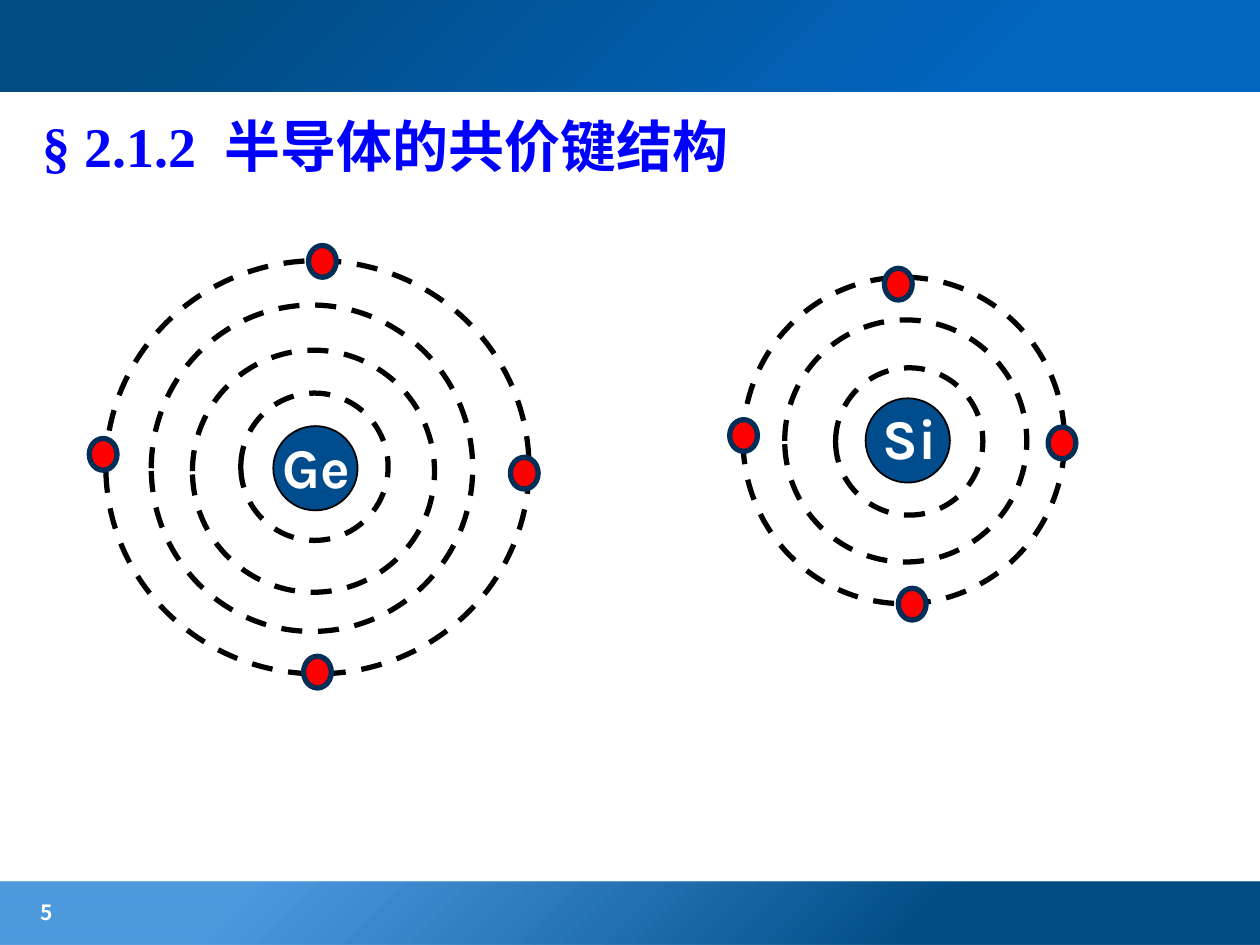
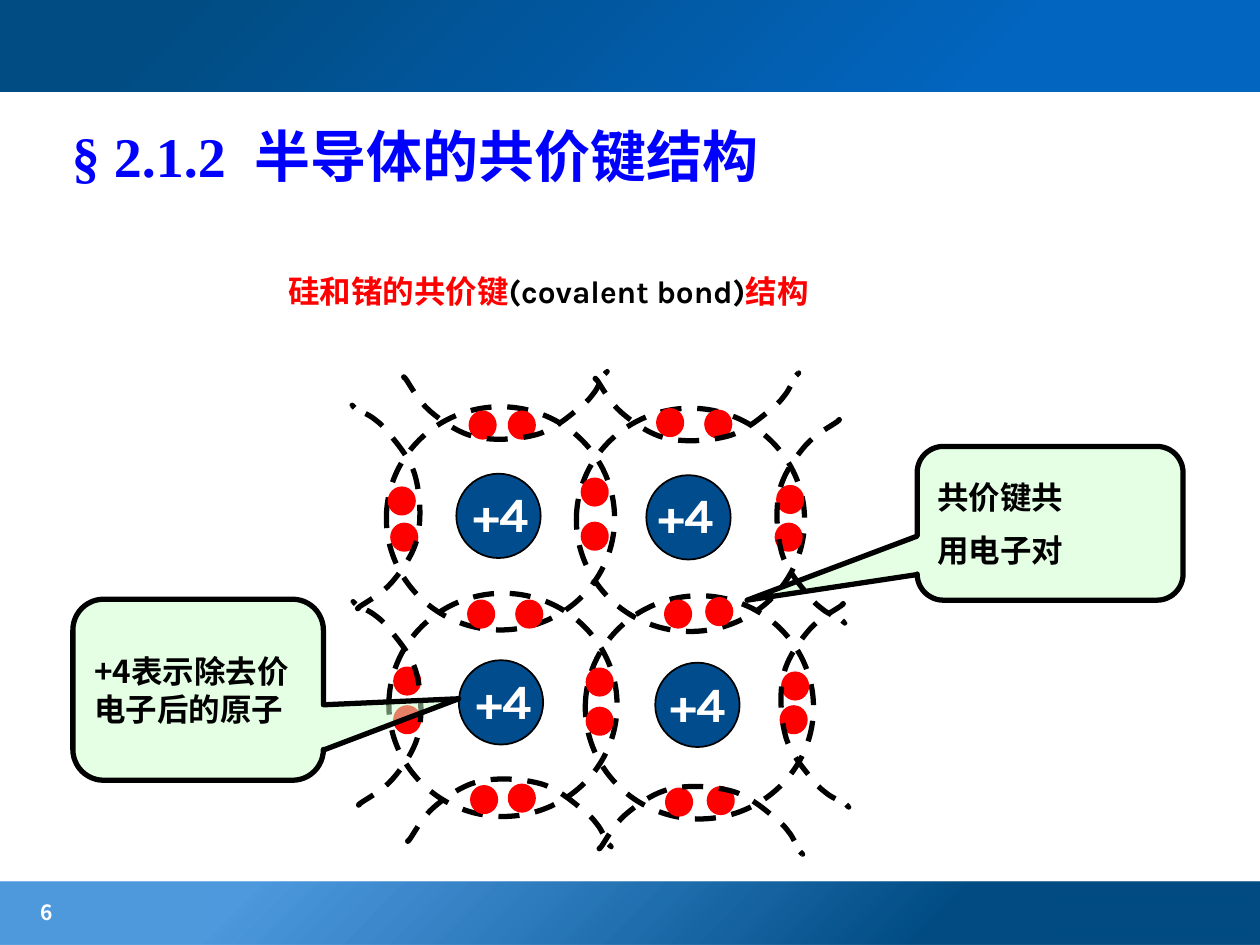
from lxml import etree
from pptx import Presentation
from pptx import util as u
from pptx.dml.color import RGBColor
from pptx.enum import dml, shapes, text
from pptx.oxml import parse_xml
from pptx.oxml.ns import nsdecls, qn

WHITE = RGBColor(0xFF, 0xFF, 0xFF)
BLACK = RGBColor(0x00, 0x00, 0x00)
RED = RGBColor(0xFF, 0x00, 0x00)
TITLE_BLUE = RGBColor(0x00, 0x00, 0xFF)
NUCLEUS_BLUE = RGBColor(0x01, 0x4C, 0x8D)
NAVY = RGBColor(0x01, 0x2E, 0x57)
BAND_DARK = RGBColor(0x01, 0x4C, 0x83)
BAND_MID = RGBColor(0x02, 0x65, 0xBF)
BAND_LIGHT = RGBColor(0x02, 0x6D, 0xCE)
PALE_GREEN = RGBColor(0xCC, 0xFF, 0xCC)

KARLA, NOTO, TIMES = "Karla", "Noto Sans CJK SC", "Times New Roman"
TITLE = "§ 2.1.2  半导体的共价键结构"

SHELL_SIZES = [(2.97, 2.97), (4.88, 4.88), (6.48, 6.58), (8.53, 8.33)]
ATOMS = [
    ("Ge", (6.36, 9.44), (5.44, 8.59, 2.16, 1.6),
     [(6.34, 9.41), (6.32, 9.5), (6.29, 9.44), (6.4, 9.42)],
     [(10.57, 9.54), (2.08, 9.16), (6.5, 5.27), (6.4, 13.55)]),
    ("Si", (18.3, 8.88), (17.55, 8.0, 1.96, 1.6),
     [(18.33, 8.9), (18.26, 8.89), (18.22, 8.88)],
     [(14.99, 8.78), (18.39, 12.18), (21.41, 8.93), (18.11, 5.73)]),
]

IONS = [(10.05, 10.4), (13.88, 10.43), (10.1, 14.16), (14.06, 14.21)]
ION_LABELS = [(9.3, 9.63), (13.03, 9.65), (9.35, 13.39), (13.26, 13.46)]
BOND_PAIRS = [
    [(11.99, 9.92), (11.99, 10.81)], [(14.5, 12.33), (13.67, 12.38)],
    [(12.09, 13.75), (12.09, 14.54)], [(9.7, 12.38), (10.67, 12.38)],
    [(8.21, 13.73), (8.21, 14.51)], [(9.73, 8.57), (10.52, 8.57)],
    [(8.1, 10.1), (8.15, 10.83)], [(14.53, 16.14), (13.69, 16.17)],
    [(15.9, 10.83), (15.93, 10.07)], [(10.52, 16.09), (9.76, 16.12)],
    [(14.48, 8.55), (13.51, 8.52)], [(16.0, 14.51), (16.03, 13.83)],
]

ARC_START = (-1.98, -0.55)
ARC_CURVES = [
    [(-2.01, -0.55), (-2.06, -0.65), (-1.98, -0.55)],
    [(-1.9, -0.44), (-1.73, -0.11), (-1.5, 0.09)],
    [(-1.27, 0.29), (-0.91, 0.55), (-0.56, 0.62)],
    [(-0.2, 0.7), (0.3, 0.67), (0.66, 0.57)],
    [(1.02, 0.47), (1.35, 0.17), (1.55, 0.01)],
    [(1.73, -0.14), (1.75, -0.19), (1.83, -0.29)],
    [(1.9, -0.39), (1.98, -0.57), (2.03, -0.65)],
    [(2.06, -0.7), (2.08, -0.7), (2.08, -0.7)],
    [(2.08, -0.7), (2.03, -0.65), (2.03, -0.65)],
]
NEIGHBOUR_ARCS = [
    (lambda a, b: (-b, a), [(16.33, 10.48), (16.41, 14.19)]),
    (lambda a, b: (a, b), [(10.16, 8.19), (14.02, 8.22)]),
    (lambda a, b: (a, -b), [(10.24, 16.37), (14.1, 16.52)]),
    (lambda a, b: (b, -a), [(7.8, 10.25), (7.82, 14.21)]),
]


class Deck:
    """Holds the presentation style and the slide being drawn."""

    def __init__(self):
        self.presentation = Presentation()
        self.presentation.slide_width = u.Cm(25.4)
        self.presentation.slide_height = u.Cm(19.05)
        self.slide = None

    def new_slide(self, number, title_left, title_top):
        """Start a slide with its bands, number and title."""
        layout = self.presentation.slide_layouts[6]
        self.slide = self.presentation.slides.add_slide(layout)
        self.band(17.78, 1.27, [(26, BAND_DARK, 100), (80, BAND_LIGHT, 70)])
        self.band(-0.08, 1.93, [(21, BAND_MID, 100), (86, BAND_DARK, 100)])
        self.text_box(0.48, 18.01, 3.99, 0.79, [(f" {number}", WHITE)], 12, NOTO)
        title = self.text_box(title_left, title_top, 21.59, 3.07, [(TITLE, TITLE_BLUE)], 32, TIMES)
        title.text_frame.vertical_anchor = text.MSO_ANCHOR.MIDDLE

    def shape(self, kind, left, top, width, height, fill=None, line=None, line_width=3):
        """Add a preset shape with an optional fill and line."""
        shape = self.slide.shapes.add_shape(kind, u.Cm(left), u.Cm(top), u.Cm(width), u.Cm(height))
        self.paint(shape, fill, line, line_width)
        return shape

    def paint(self, shape, fill, line, line_width=3):
        """Set fill and line, and remove the shadow."""
        shape.shadow.inherit = False
        if fill is None:
            shape.fill.background()
        else:
            shape.fill.solid()
            shape.fill.fore_color.rgb = fill
        if line is None:
            shape.line.fill.background()
        else:
            shape.line.color.rgb = line
            shape.line.width = u.Pt(line_width)

    def band(self, top, height, stops):
        """Add a full-width band whose gradient spreads from the lower right corner."""
        band = self.shape(shapes.MSO_SHAPE.RECTANGLE, 0, top, 25.4, height)
        stop_xml = "".join(
            f'<a:gs pos="{place * 1000}"><a:srgbClr val="{color}">'
            f'<a:alpha val="{opacity * 1000}"/></a:srgbClr></a:gs>'
            for place, color, opacity in stops)
        gradient = parse_xml(
            f'<a:gradFill {nsdecls("a")} rotWithShape="1"><a:gsLst>{stop_xml}</a:gsLst>'
            '<a:path path="circle"><a:fillToRect l="100000" t="100000"/></a:path></a:gradFill>')
        properties = band._element.spPr
        properties.replace(properties.find(qn("a:noFill")), gradient)

    def style_run(self, run, size, color, font):
        """Format one bold run in Latin and East Asian type."""
        run.font.size = u.Pt(size)
        run.font.bold = True
        run.font.color.rgb = color
        run.font.name = font
        etree.SubElement(run._r.get_or_add_rPr(), qn("a:ea")).set("typeface", NOTO)

    def text_box(self, left, top, width, height, pieces, size, font):
        """Add a one-paragraph text box made of coloured pieces."""
        box = self.slide.shapes.add_textbox(u.Cm(left), u.Cm(top), u.Cm(width), u.Cm(height))
        box.text_frame.word_wrap = True
        for words, color in pieces:
            run = box.text_frame.paragraphs[0].add_run()
            run.text = words
            self.style_run(run, size, color, font)
        return box

    def ellipse(self, center, width, height, fill=None, line=None, line_width=3):
        """Add an ellipse around a centre."""
        x, y = center
        return self.shape(shapes.MSO_SHAPE.OVAL, x - width / 2, y - height / 2,
                          width, height, fill, line, line_width)

    def shell(self, center, width, height):
        """Add a dashed electron shell."""
        self.ellipse(center, width, height, line=BLACK).line.dash_style = dml.MSO_LINE.DASH

    def nucleus(self, center):
        """Add a nucleus."""
        self.ellipse(center, 1.7, 1.7, NUCLEUS_BLUE, BLACK, 1)

    def label(self, left, top, width, height, words, size):
        """Add a white nucleus label."""
        self.text_box(left, top, width, height, [(words, WHITE)], size, KARLA)

    def arc(self, center, turn):
        """Add the dashed, curved shell arc of a neighbouring atom."""
        corners = [ARC_START] + [corner for curve in ARC_CURVES for corner in curve]
        turned = [turn(a, b) for a, b in corners]
        points = [(u.Cm(center[0] + x), u.Cm(center[1] + y)) for x, y in turned]
        builder = self.slide.shapes.build_freeform(*points[0])
        builder.add_line_segments(points[1:], close=False)
        arc = builder.convert_to_shape()
        outline = arc._element.spPr.find(".//" + qn("a:path"))
        segments = outline.findall(qn("a:lnTo"))
        for index in range(0, len(segments), 3):
            curve = etree.SubElement(outline, qn("a:cubicBezTo"))
            for segment in segments[index:index + 3]:
                curve.append(segment[0])
                outline.remove(segment)
        self.paint(arc, None, BLACK)
        arc.line.dash_style = dml.MSO_LINE.DASH

    def callout(self, left, top, width, height, adjustments, words, font):
        """Add a half-transparent rounded callout."""
        callout = self.shape(shapes.MSO_SHAPE.ROUNDED_RECTANGULAR_CALLOUT,
                             left, top, width, height, PALE_GREEN, BLACK)
        for index, value in enumerate(adjustments):
            callout.adjustments[index] = value
        color = callout._element.spPr.find(qn("a:solidFill"))[0]
        etree.SubElement(color, qn("a:alpha")).set("val", "50000")
        frame = callout.text_frame
        frame.text = words
        frame.word_wrap = True
        frame.vertical_anchor = text.MSO_ANCHOR.MIDDLE
        for index, paragraph in enumerate(frame.paragraphs):
            paragraph.alignment = text.PP_ALIGN.LEFT
            paragraph.space_before = u.Pt(9 if index else 0)
            self.style_run(paragraph.runs[0], 18, BLACK, font)


def draw_atoms(deck):
    """Draw the germanium and silicon atoms."""
    deck.new_slide(5, 0.6, 1.4)
    for symbol, center, label_frame, shell_centers, electrons in ATOMS:
        deck.nucleus(center)
        for shell_center, size in zip(shell_centers, SHELL_SIZES):
            deck.shell(shell_center, *size)
        deck.label(*label_frame, symbol, 32)
        for electron in electrons:
            deck.ellipse(electron, 0.56, 0.64, RED, NAVY)


def draw_lattice(deck):
    """Draw the covalent bond lattice with its two callouts."""
    deck.new_slide(6, 1.2, 1.59)
    deck.text_box(5.56, 5.36, 14.83, 1.02,
                  [("硅和锗的共价键", RED), ("(covalent bond)", BLACK), ("结构", RED)], 18, KARLA)
    deck.callout(18.49, 9.0, 5.36, 3.1, (-1.14, 0.5, 0.17), "共价键共\n用电子对", KARLA)
    for x, y in IONS:
        deck.nucleus((x, y))
        deck.shell((x + 0.04, y + 0.05), 4.6, 4.5)
    for pair in BOND_PAIRS:
        for electron in pair:
            deck.ellipse(electron, 0.46, 0.48, RED, RED)
    for turn, centers in NEIGHBOUR_ARCS:
        for center in centers:
            deck.arc(center, turn)
    for left, top in ION_LABELS:
        deck.label(left, top, 1.96, 1.45, "+4", 28)
    deck.callout(1.47, 12.08, 5.05, 3.65, (1.04, 0.05, 0.17), "+4表示除去价电子后的原子", NOTO)


def main():
    """Build and save the two slides."""
    deck = Deck()
    draw_atoms(deck)
    draw_lattice(deck)
    deck.presentation.save("out.pptx")


if __name__ == "__main__":
    main()
